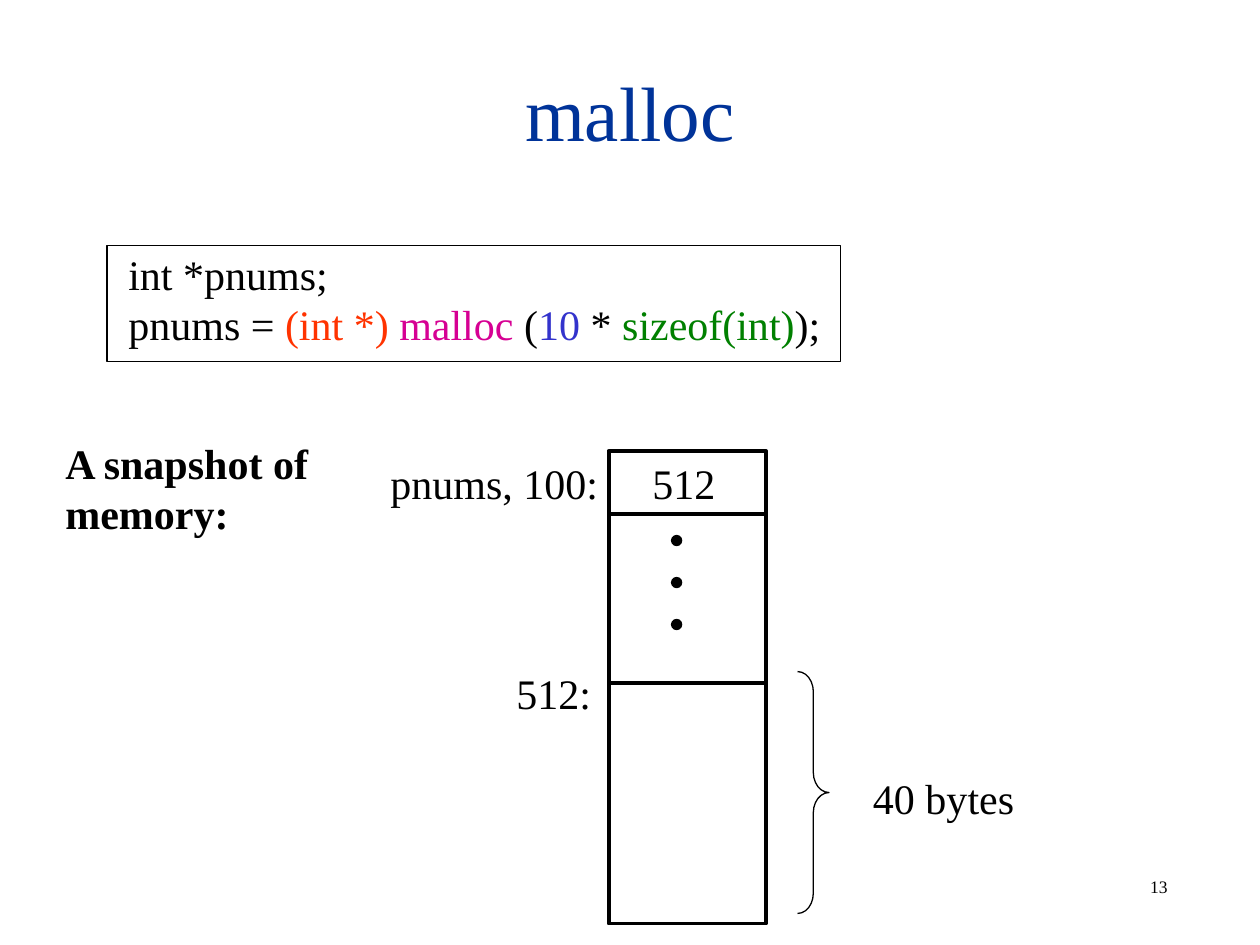
from pptx import Presentation
from pptx.dml.color import RGBColor
from pptx.enum.shapes import MSO_CONNECTOR, MSO_SHAPE
from pptx.enum.text import MSO_ANCHOR, PP_ALIGN
from pptx.oxml.ns import qn
from pptx.util import Inches, Pt
from lxml import etree

FONT = "Times New Roman"
BLACK = "000000"
RECT, OVAL, BRACE = MSO_SHAPE.RECTANGLE, MSO_SHAPE.OVAL, MSO_SHAPE.RIGHT_BRACE
LINE = MSO_CONNECTOR.STRAIGHT
LEFT, CENTER = PP_ALIGN.LEFT, PP_ALIGN.CENTER
TOP, MIDDLE = MSO_ANCHOR.TOP, MSO_ANCHOR.MIDDLE

CODE = [
    [("int *pnums;", BLACK)],
    [("pnums = ", BLACK), ("(int *) ", "FF3300"), ("malloc", "D60093"),
     (" (", BLACK), ("10", "3333CC"), (" * ", BLACK),
     ("sizeof(int)", "008000"), (");", BLACK)],
]


def color(code):
    return RGBColor.from_string(code)


def add_text(slide, box, lines, size=24, bold=False, align=LEFT,
             anchor=TOP, wrap=True):
    """Add a text box; each line is a list of (text, color) runs."""
    frame = slide.shapes.add_textbox(*map(Inches, box)).text_frame
    frame.word_wrap = wrap
    frame.vertical_anchor = anchor
    for i, runs in enumerate(lines):
        para = frame.add_paragraph() if i else frame.paragraphs[0]
        para.alignment = align
        para.font.name, para.font.size, para.font.bold = FONT, Pt(size), bold
        for text, code in runs:
            run = para.add_run()
            run.text = text
            run.font.color.rgb = color(code)


def add_label(slide, box, text, **style):
    add_text(slide, box, [[(text, BLACK)]], **style)


def add_shape(slide, kind, box, width=0.75, fill=None):
    shape = slide.shapes.add_shape(kind, *map(Inches, box))
    shape.shadow.inherit = False
    shape.line.color.rgb = color(BLACK)
    shape.line.width = Pt(width)
    if fill:
        shape.fill.solid()
        shape.fill.fore_color.rgb = color(fill)
    else:
        shape.fill.background()
    return shape


def add_line(slide, left, right, y):
    line = slide.shapes.add_connector(
        LINE, Inches(left), Inches(y), Inches(right), Inches(y))
    line.line.color.rgb = color(BLACK)
    line.line.width = Pt(2.25)
    etree.SubElement(line._element.spPr, qn("a:effectLst"))


def add_memory(slide):
    left, top, width = 4.83, 3.58, 1.25
    add_shape(slide, RECT, (left, top, width, 3.75), 2.25)
    for y in (4.08, 5.42):
        add_line(slide, left, left + width, y)

    # Dots for the skipped cells
    for i in range(3):
        add_shape(slide, OVAL, (5.33, 4.25 + i / 3, 0.08, 0.08), fill=BLACK)

    # Addresses and the stored pointer
    add_label(slide, (3, top, 1.92, 0.5), "pnums, 100:")
    add_label(slide, (5.08, top, 0.83, 0.5), "512")
    add_label(slide, (4, 5.25, 0.83, 0.5), "512:")

    # Size of the allocated block
    brace = add_shape(slide, BRACE, (6.33, 5.33, 0.25, 1.92))
    brace.adjustments[0] = 0.64
    add_label(slide, (6.83, 6.08, 1.42, 0.5), "40 bytes")


def main():
    deck = Presentation()
    deck.slide_width, deck.slide_height = Inches(10), Inches(7.5)
    slide = deck.slides.add_slide(deck.slide_layouts[6])

    # Title and page number
    add_text(slide, (0.75, 0.25, 8.5, 1.25), [[("malloc", "003399")]],
             size=44, align=CENTER, anchor=MIDDLE)
    add_label(slide, (9.03, 6.9, 0.78, 0.27), "13", size=10)

    # Code
    add_shape(slide, RECT, (0.85, 1.95, 5.82, 0.92))
    add_text(slide, (0.92, 1.92, 5.69, 0.9), CODE, wrap=False)

    # Memory
    add_label(slide, (0.42, 3.42, 2.5, 0.9), "A snapshot of memory:", bold=True)
    add_memory(slide)

    deck.save("out.pptx")


if __name__ == "__main__":
    main()
